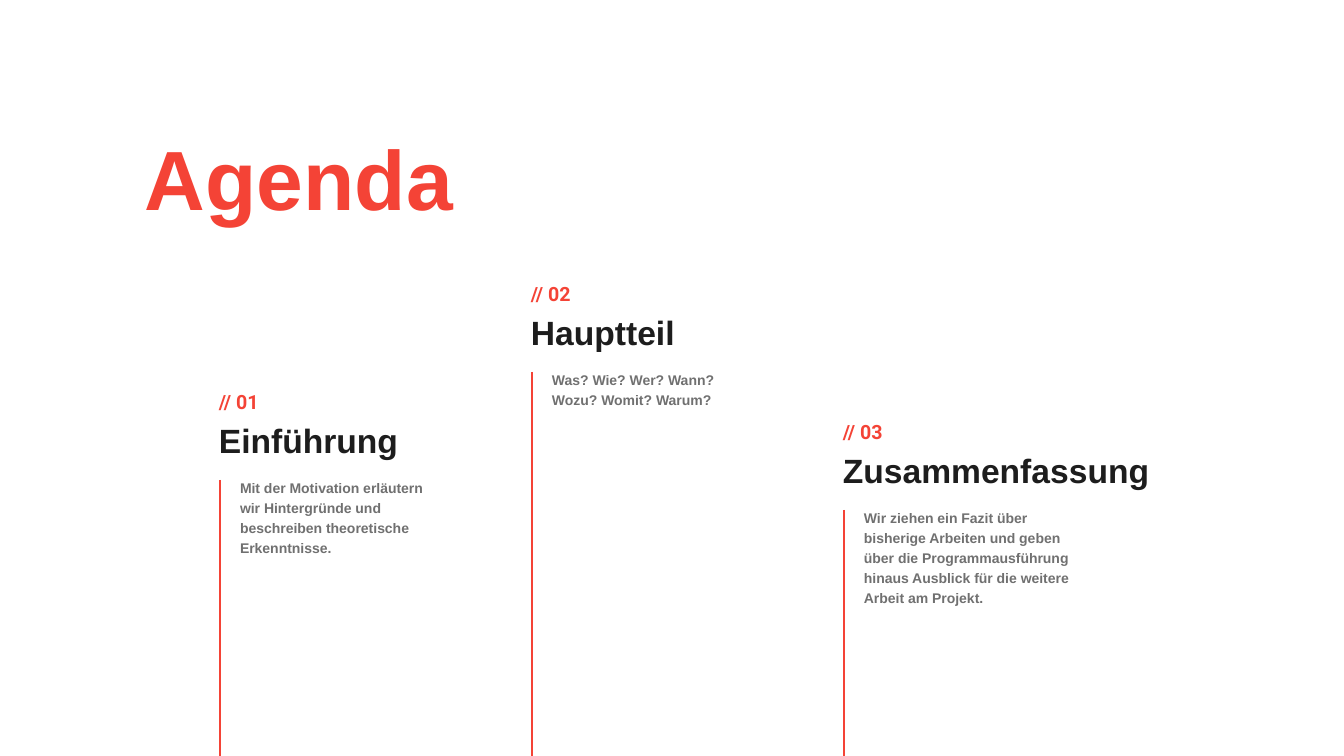
from lxml import etree
from pptx import Presentation
from pptx.dml.color import RGBColor
from pptx.enum.shapes import MSO_CONNECTOR
from pptx.enum.text import MSO_ANCHOR
from pptx.oxml.ns import qn
from pptx.util import Pt

TITLE = "Agenda"
SECTIONS = [
    {"number": "// 01", "heading": "Einführung", "top": 394,
     "heading_width": 207, "body_width": 206,
     "body": ["Mit der Motivation erläutern wir Hintergründe und "
              "beschreiben theoretische Erkenntnisse."]},
    {"number": "// 02", "heading": "Hauptteil", "top": 286,
     "heading_width": 207, "body_width": 207,
     "body": ["Was? Wie? Wer? Wann?", "Wozu? Womit? Warum?"]},
    {"number": "// 03", "heading": "Zusammenfassung", "top": 424,
     "heading_width": 309, "body_width": 222,
     "body": ["Wir ziehen ein Fazit über bisherige Arbeiten und geben über "
              "die Programmausführung hinaus Ausblick für die weitere Arbeit "
              "am Projekt."]},
]

RED = RGBColor(0xF4, 0x43, 0x36)
BLACK = RGBColor(0x1D, 0x1D, 0x1D)
GRAY = RGBColor(0x34, 0x34, 0x34)
TOP, BOTTOM = MSO_ANCHOR.TOP, MSO_ANCHOR.BOTTOM
STRAIGHT = MSO_CONNECTOR.STRAIGHT

SLIDE_W, SLIDE_H = 1344, 756
FIRST_LEFT, COLUMN_STEP = 219, 312
LINE_HEIGHT = 20


def px(n):
    return round(n * 914400 / 100.8)


def add_text(s, box, lines, font, size, color, spacing,
             anchor=TOP, inset_top=0, inset_right=0, opacity=100):
    tf = s.shapes.add_textbox(*map(px, box)).text_frame
    tf.word_wrap = True
    tf.vertical_anchor = anchor
    tf.margin_left = tf.margin_bottom = 0
    tf.margin_top, tf.margin_right = px(inset_top), px(inset_right)
    tf.text = "\n".join(lines)
    for p in tf.paragraphs:
        p.line_spacing = spacing
        p.font.name = font
        p.font.size = Pt(size)
        p.font.bold = True
        p.font.color.rgb = color
        if opacity < 100:
            for clr in p.font._element.iter(qn("a:srgbClr")):
                etree.SubElement(clr, qn("a:alpha"), val=str(opacity * 1000))


def add_rule(s, x, top):
    line = s.shapes.add_connector(STRAIGHT, px(x), px(top), px(x), px(SLIDE_H))
    line.line.color.rgb = RED
    line.line.width = Pt(1.5)
    etree.SubElement(line._element.spPr, qn("a:effectLst"))


def add_section(s, left, section):
    top = section["top"]
    add_text(s, (left, top + 34, section["heading_width"], 32),
             [section["heading"]], "Arial", 24, BLACK, 0.8)
    add_text(s, (left, top, 207, 19), [section["number"]],
             "Roboto", 14, RED, 0.8, anchor=BOTTOM)
    add_rule(s, left + 1, top + 86)
    add_text(s, (left + 21, top + 82, section["body_width"], 2 * LINE_HEIGHT),
             section["body"], "Arial", 10, GRAY, 1.2,
             inset_right=10, opacity=70)


def main():
    prs = Presentation()
    prs.slide_width, prs.slide_height = px(SLIDE_W), px(SLIDE_H)
    s = prs.slides.add_slide(prs.slide_layouts[6])
    for i, section in enumerate(SECTIONS):
        add_section(s, FIRST_LEFT + i * COLUMN_STEP, section)
    add_text(s, (145, 133, 1048, 97), [TITLE], "Arial", 60, RED, 0.9,
             inset_top=5)
    prs.save("out.pptx")


if __name__ == "__main__":
    main()
